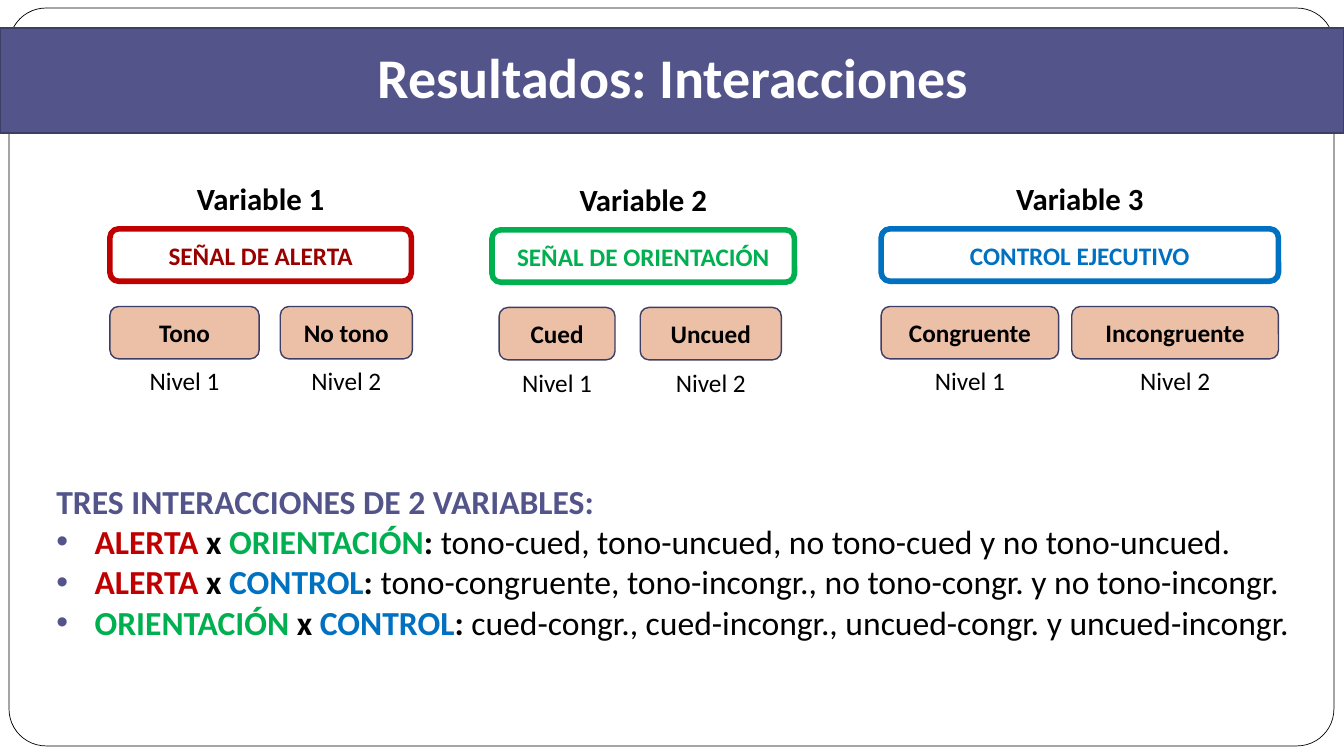
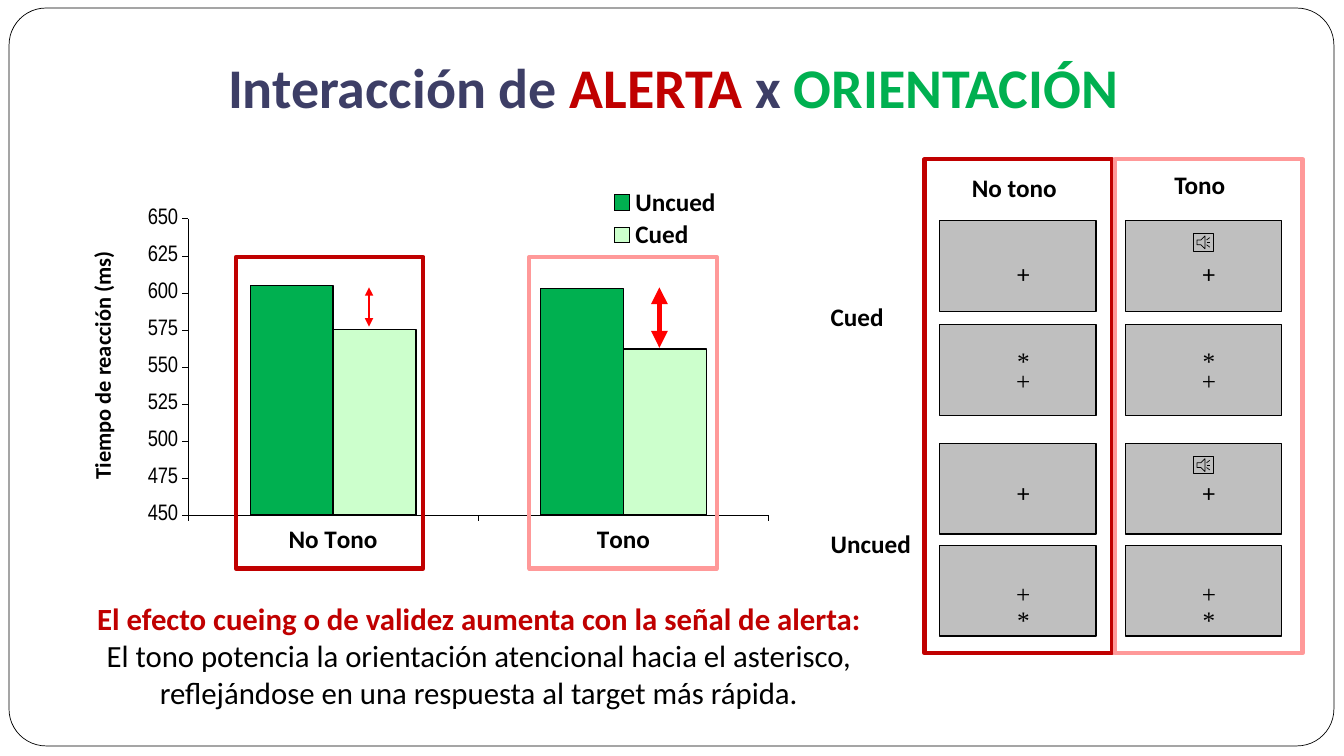
from lxml.etree import SubElement
from pptx import Presentation
from pptx.chart.data import CategoryChartData
from pptx.dml.color import RGBColor
from pptx.enum.chart import XL_CHART_TYPE, XL_LEGEND_POSITION, XL_TICK_MARK
from pptx.enum.shapes import MSO_CONNECTOR, MSO_SHAPE
from pptx.enum.text import MSO_ANCHOR, PP_ALIGN
from pptx.oxml import parse_xml
from pptx.oxml.ns import nsdecls, qn
from pptx.util import Inches, Pt

BLACK = RGBColor(0x00, 0x00, 0x00)
WHITE = RGBColor(0xFF, 0xFF, 0xFF)
PURPLE = RGBColor(0x53, 0x54, 0x8A)
NAVY = RGBColor(0x3D, 0x3E, 0x66)
RED = RGBColor(0xC0, 0x00, 0x00)
DARK_RED = RGBColor(0x99, 0x00, 0x00)
PINK = RGBColor(0xFF, 0x99, 0x99)
GREEN = RGBColor(0x00, 0xB0, 0x50)
PALE_GREEN = RGBColor(0xCC, 0xFF, 0xCC)
BLUE = RGBColor(0x00, 0x70, 0xC0)
PEACH = RGBColor(0xEB, 0xC0, 0xA7)
GREY = RGBColor(0xBF, 0xBF, 0xBF)
ARROW_RED = RGBColor(0xFF, 0x00, 0x00)
SANS, NARROW, SERIF = "Calibri", "Arial Narrow", "Times New Roman"


def inches(box):
    return [Inches(v) for v in box]


def add_bullet(p):
    """Give the paragraph a purple dot and a hanging indent."""
    pPr = p._p.get_or_add_pPr()
    pPr.set("marL", str(Inches(0.38)))
    pPr.set("indent", str(Inches(-0.38)))
    colour = SubElement(pPr, qn("a:buClr"))
    SubElement(colour, qn("a:srgbClr")).set("val", str(PURPLE))
    SubElement(pPr, qn("a:buFont")).set("typeface", "Arial")
    SubElement(pPr, qn("a:buChar")).set("char", "•")


def write(tf, text, size=18, color=BLACK, bold=False, font=SANS,
          align=PP_ALIGN.CENTER, bullet=False, first=True):
    """Write one paragraph: a string, or a list of (text, colour, bold) runs."""
    p = tf.paragraphs[0] if first else tf.add_paragraph()
    p.alignment = align
    if bullet:
        add_bullet(p)
    runs = [(text, color, bold)] if isinstance(text, str) else text
    for run_text, run_color, run_bold in runs:
        r = p.add_run()
        r.text = run_text
        r.font.size, r.font.name, r.font.bold = Pt(size), font, run_bold
        r.font.color.rgb = run_color


def add_box(s, box, text="", kind=MSO_SHAPE.RECTANGLE, fill=None,
            line=BLACK, width=1, **fmt):
    sp = s.shapes.add_shape(kind, *inches(box))
    sp.shadow.inherit = False
    if fill is None:
        sp.fill.background()
    else:
        sp.fill.solid()
        sp.fill.fore_color.rgb = fill
    sp.line.color.rgb = line
    sp.line.width = Pt(width)
    if text:
        sp.text_frame.vertical_anchor = MSO_ANCHOR.MIDDLE
        write(sp.text_frame, text, **fmt)
    return sp


def add_text(s, box, text, anchor=MSO_ANCHOR.TOP, wrap=True, **fmt):
    sp = s.shapes.add_textbox(*inches(box))
    tf = sp.text_frame
    tf.word_wrap = wrap
    tf.vertical_anchor = anchor
    write(tf, text, **fmt)
    return sp


def new_slide(prs):
    """Add a blank slide with the rounded page frame."""
    s = prs.slides.add_slide(prs.slide_layouts[6])
    frame = add_box(s, (0.09, 0.08, 13.14, 7.32), fill=WHITE, width=0.5,
                    kind=MSO_SHAPE.ROUNDED_RECTANGLE)
    frame.adjustments[0] = 0.05
    return s


def add_title(s, top, text, **fmt):
    sp = add_text(s, (0.15, top, 13.05, 0.77), text, size=40,
                  anchor=MSO_ANCHOR.BOTTOM, **fmt)
    sp.text_frame.margin_bottom = Inches(0.1)


def add_variable(s, box, label, name, color, name_color, levels):
    """Place a variable's heading, its name box and its two levels."""
    left, top, width = box
    rounded = MSO_SHAPE.ROUNDED_RECTANGLE
    add_text(s, (left, top, width, 0.47), label, size=22, bold=True)
    add_box(s, (left, top + 0.54, width, 0.52), name, kind=rounded,
            line=color, width=4, color=name_color, bold=True)
    for number, (level, offset, level_width) in enumerate(levels, 1):
        x = left + offset
        add_box(s, (x, top + 1.31, level_width, 0.52), level, kind=rounded,
                fill=PEACH, line=NAVY, bold=True)
        add_text(s, (x, top + 1.85, level_width, 0.4), f"Nivel {number}")


def add_interactions(s, box):
    """List the pairs of variables and their combinations."""
    alert, orient, control = (("ALERTA", RED), ("ORIENTACIÓN", GREEN),
                              ("CONTROL", BLUE))
    items = [
        (alert, orient,
         "tono-cued, tono-uncued, no tono-cued y no tono-uncued."),
        (alert, control,
         "tono-congruente, tono-incongr., no tono-congr. y no tono-incongr."),
        (orient, control,
         "cued-congr., cued-incongr., uncued-congr. y uncued-incongr."),
    ]
    fmt = dict(size=24, align=PP_ALIGN.LEFT)
    sp = add_text(s, box, "TRES INTERACCIONES DE 2 VARIABLES:",
                  color=PURPLE, bold=True, **fmt)
    for one, other, combos in items:
        runs = [(*one, True), (" x ", BLACK, True), (*other, True),
                (": ", BLACK, True), (combos, BLACK, False)]
        write(sp.text_frame, runs, bullet=True, first=False, **fmt)


def set_layout(parent, after, inner, x, y, w, h):
    """Fix the place of a chart part, in fractions of the chart."""
    for old in parent.findall(qn("c:layout")):
        parent.remove(old)
    target = '<c:layoutTarget val="inner"/>' if inner else ""
    layout = parse_xml(
        f'<c:layout {nsdecls("c")}><c:manualLayout>{target}'
        '<c:xMode val="edge"/><c:yMode val="edge"/>'
        f'<c:x val="{x}"/><c:y val="{y}"/><c:w val="{w}"/><c:h val="{h}"/>'
        '</c:manualLayout></c:layout>')
    if after is None:
        parent.insert(0, layout)
    else:
        after.addnext(layout)


def set_font(font, size, name, bold):
    font.size, font.name, font.bold = Pt(size), name, bold
    font.color.rgb = BLACK


def add_reaction_chart(s, box):
    data = CategoryChartData()
    data.categories = ["No Tono", "Tono"]
    data.add_series("Uncued", (605, 603))
    data.add_series("Cued", (575, 562))
    chart = s.shapes.add_chart(XL_CHART_TYPE.COLUMN_CLUSTERED, *inches(box),
                               data).chart
    set_font(chart.font, 18, NARROW, True)
    chart.has_title = False
    plot = chart.plots[0]
    plot.gap_width, plot.overlap = 150, 0
    plot.vary_by_categories = False
    for series, color in zip(plot.series, (GREEN, PALE_GREEN)):
        series.format.fill.solid()
        series.format.fill.fore_color.rgb = color
        series.format.line.color.rgb = BLACK
        series.format.line.width = Pt(1)
    for axis in (chart.category_axis, chart.value_axis):
        axis.has_major_gridlines = False
        axis.major_tick_mark = XL_TICK_MARK.OUTSIDE
        axis.format.line.color.rgb = BLACK
        axis.format.line.width = Pt(0.25)
    set_font(chart.category_axis.tick_labels.font, 18, SANS, True)
    values = chart.value_axis
    set_font(values.tick_labels.font, 16, NARROW, False)
    values.minimum_scale, values.maximum_scale = 450, 650
    values.major_unit = 25
    chart.has_legend = True
    legend = chart.legend
    legend.position = XL_LEGEND_POSITION.RIGHT
    legend.include_in_layout = False
    set_font(legend.font, 18, SANS, True)
    set_layout(legend._element, legend._element.find(qn("c:legendPos")),
               False, 0.74, 0.06, 0.19, 0.16)
    plot_area = chart._chartSpace.chart.plotArea
    set_layout(plot_area, None, True, 0.12, 0.14, 0.87, 0.71)


def add_double_arrow(s, x, top, bottom, width):
    c = s.shapes.add_connector(MSO_CONNECTOR.STRAIGHT,
                               *inches((x, top, x, bottom)))
    c.line.color.rgb = ARROW_RED
    c.line.width = Pt(width)
    ln = c.line._get_or_add_ln()
    for end in ("a:headEnd", "a:tailEnd"):
        SubElement(ln, qn(end)).set("type", "triangle")
    SubElement(c._element.spPr, qn("a:effectLst"))


def add_symbol(s, x, y, symbol, font):
    """Centre one symbol on a point."""
    sp = add_text(s, (x - 0.15, y - 0.15, 0.3, 0.3), symbol, font=font,
                  anchor=MSO_ANCHOR.MIDDLE, wrap=False)
    tf = sp.text_frame
    tf.margin_left = tf.margin_right = tf.margin_top = tf.margin_bottom = 0


def add_trials(s, left, top):
    """Place the grid of trial screens: tone by column, cue by row."""
    for row, y in (("Cued", 1.36), ("Uncued", 3.61)):
        add_text(s, (left, top + y, 1.1, 0.4), row, bold=True,
                 align=PP_ALIGN.LEFT)
    # Per row of screens: offset, sound with tone, font, symbols and heights
    rows = [
        (0.61, True, SANS, [("+", 0.52)]),
        (1.64, False, SERIF, [("*", 0.36), ("+", 0.55)]),
        (2.82, True, SANS, [("+", 0.49)]),
        (3.83, False, SERIF, [("+", 0.48), ("*", 0.74)]),
    ]
    columns = [("No tono", 1.03, RED, 1.18, 0.08),
               ("Tono", 2.92, PINK, 3.02, 0.05)]
    for heading, frame_x, color, screen_x, heading_y in columns:
        add_box(s, (left + frame_x, top, 1.86, 4.9), line=color, width=3)
        x = left + screen_x
        add_text(s, (x - 0.05, top + heading_y, 1.58, 0.4), heading, bold=True)
        for offset, sound, font, symbols in rows:
            y = top + offset
            add_box(s, (x, y, 1.55, 0.9), fill=GREY)
            if sound and heading == "Tono":
                add_box(s, (x + 0.68, y + 0.13, 0.19, 0.17), width=0.5,
                        kind=MSO_SHAPE.ACTION_BUTTON_SOUND)
            for symbol, height in symbols:
                add_symbol(s, x + 0.83, y + height, symbol, font)


def build_variables_slide(prs):
    s = new_slide(prs)
    add_variable(s, (1.09, 1.73, 2.99), "Variable 1", "SEÑAL DE ALERTA",
                 RED, DARK_RED, [("Tono", 0, 1.48), ("No tono", 1.69, 1.31)])
    add_variable(s, (4.88, 1.74, 3), "Variable 2", "SEÑAL DE ORIENTACIÓN",
                 GREEN, GREEN, [("Cued", 0.07, 1.15), ("Uncued", 1.47, 1.4)])
    add_variable(s, (8.74, 1.73, 3.94), "Variable 3", "CONTROL EJECUTIVO",
                 BLUE, BLUE,
                 [("Congruente", 0, 1.76), ("Incongruente", 1.89, 2.05)])
    add_interactions(s, (0.46, 4.72, 12.61, 1.72))
    add_box(s, (0, 0.28, 13.33, 1.04), fill=PURPLE, line=NAVY)
    add_title(s, 0.42, "Resultados: Interacciones", color=WHITE, bold=True)


def build_interaction_slide(prs):
    s = new_slide(prs)
    add_title(s, 0.52, [("Interacción de ", NAVY, True), ("ALERTA", RED, True),
                        (" x ", NAVY, True), ("ORIENTACIÓN", GREEN, True)])
    add_reaction_chart(s, (1.07, 1.59, 6.62, 4.14))
    axis_title = add_text(s, (-0.5, 3.44, 3.03, 0.37),
                          "Tiempo de reacción (ms)", size=16, bold=True)
    axis_title.rotation = 270
    add_double_arrow(s, 3.66, 2.85, 3.24, 2)
    add_double_arrow(s, 6.54, 2.85, 3.45, 4)
    for x, color in ((2.34, RED), (5.25, PINK)):
        add_box(s, (x, 2.55, 1.86, 3.09), line=color, width=3)
    add_text(s, (0.83, 5.9, 7.84, 1.29), [
        ("El efecto cueing o de validez aumenta con la señal de alerta:",
         RED, True),
        (" El tono potencia la orientación atencional hacia el asterisco, "
         "reflejándose en una respuesta al target más rápida.", BLACK, False),
    ], size=22)
    add_trials(s, 8.14, 1.58)


def main():
    prs = Presentation()
    prs.slide_width, prs.slide_height = Inches(13.33), Inches(7.5)
    build_variables_slide(prs)
    build_interaction_slide(prs)
    prs.save("out.pptx")


if __name__ == "__main__":
    main()
